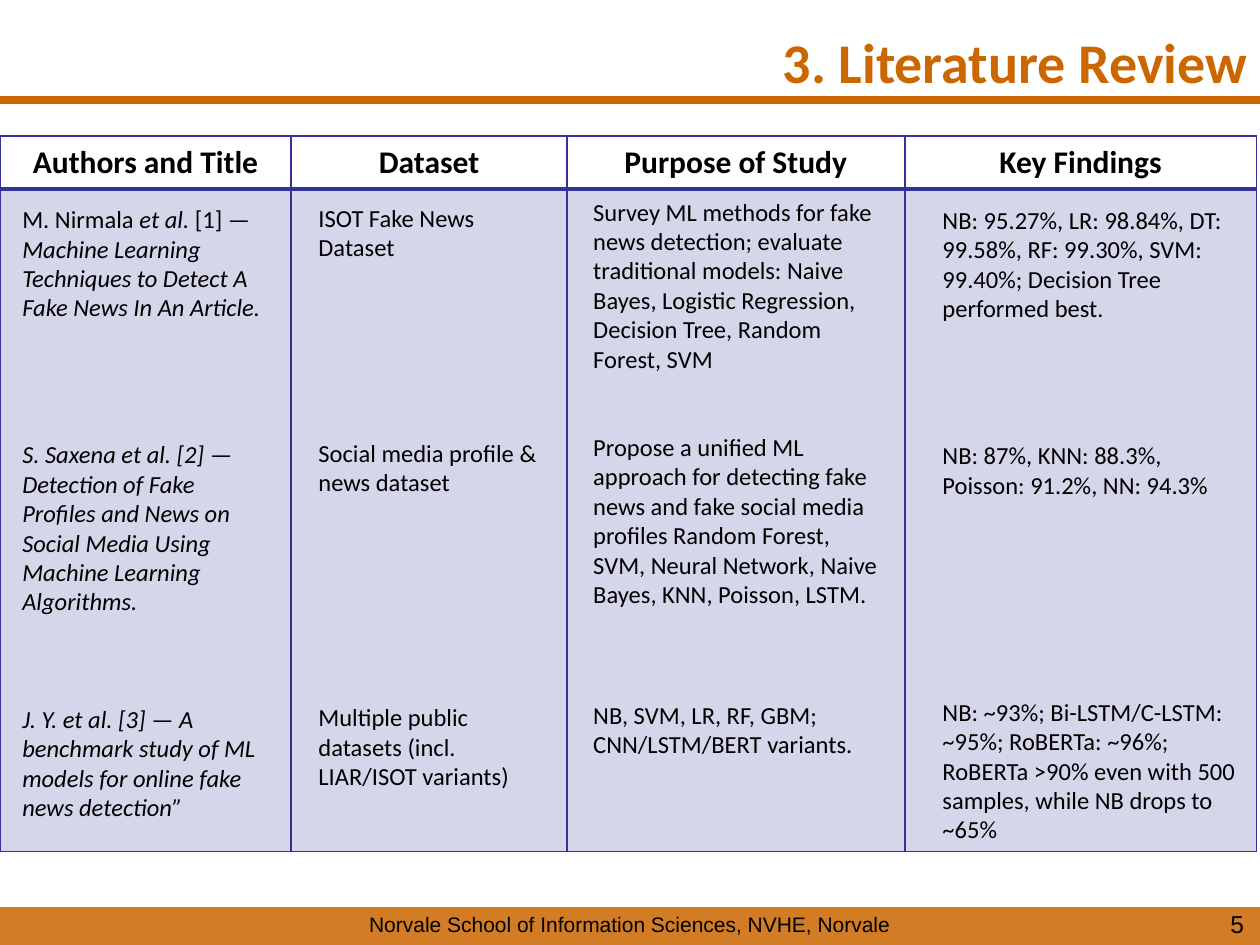
from lxml.etree import SubElement
from pptx import Presentation
from pptx.dml.color import RGBColor
from pptx.enum.shapes import MSO_CONNECTOR as Connector, MSO_SHAPE as Shape
from pptx.enum.text import MSO_ANCHOR as Anchor, PP_ALIGN as Align
from pptx.oxml.ns import qn
from pptx.util import Cm, Pt

THEME = {
    "accent": "CC6600", "grid": "333399", "text": "000000",
    "heading_font": "Calibri", "footer_font": "Arial",
    "title": 32, "header": 18, "body": 14, "footer": 12, "page": 14,
    "bar_alpha": 85, "cell_alpha": 20,
}
TITLE = "3. Literature Review"
FOOTER = "Norvale School of Information Sciences, NVHE, Norvale"
PAGE = "5"

# Widths and positions in cm, gaps above the 2nd and 3rd study in points.
# Asterisks enclose italics.
COLUMNS = [
    {"header": "Authors and Title", "width": 5.87,
     "box": (0.2, 3.99, 5.51, 13.2), "gaps": (0, 67.2, 50.4),
     "studies": [
         "M. Nirmala *et al.* [1] — *Machine Learning Techniques to Detect A "
         "Fake News In An Article.*",
         "*S. Saxena et al. [2] *— *Detection of Fake Profiles and News on "
         "Social Media Using Machine Learning Algorithms.*",
         "*J. Y. et al. [3] *— *A benchmark study of ML models for online "
         "fake news detection”*"]},
    {"header": "Dataset", "width": 5.56,
     "box": (6.17, 3.96, 5.08, 12.22), "gaps": (0, 100.8, 117.6),
     "studies": [
         "ISOT Fake News Dataset",
         "Social media profile & news dataset",
         "Multiple public datasets (incl. LIAR/ISOT variants)"]},
    {"header": "Purpose of Study", "width": 6.81,
     "box": (11.71, 3.84, 6.35, 11.71), "gaps": (0, 33.6, 52.3),
     "studies": [
         "Survey ML methods for fake news detection; evaluate traditional "
         "models: Naive Bayes, Logistic Regression, Decision Tree, Random "
         "Forest, SVM",
         "Propose a unified ML approach for detecting fake news and fake "
         "social media profiles Random Forest, SVM, Neural Network, Naive "
         "Bayes, KNN, Poisson, LSTM.",
         "NB, SVM, LR, RF, GBM; CNN/LSTM/BERT variants."]},
    {"header": "Key Findings", "width": 7.09,
     "box": (18.75, 4.01, 6.55, 13.26), "gaps": (0, 67.2, 112.9),
     "studies": [
         "NB: 95.27%, LR: 98.84%, DT: 99.58%, RF: 99.30%, SVM: 99.40%; "
         "Decision Tree performed best.",
         "NB: 87%, KNN: 88.3%, Poisson: 91.2%, NN: 94.3%",
         "NB: ~93%; Bi-LSTM/C-LSTM: ~95%; RoBERTa: ~96%; RoBERTa >90% even "
         "with 500 samples, while NB drops to ~65%"]},
]
ROW_HEIGHTS = (1.07, 13.36)
TABLE_TOP = 2.74


def rgb(role):
    return RGBColor.from_string(THEME[role])


def fill_with(fill, role, alpha):
    """Solid fill with its opacity in percent."""
    fill.solid()
    fill.fore_color.rgb = rgb(role)
    color = fill._xPr.find(qn("a:solidFill"))[0]
    SubElement(color, qn("a:alpha"), val=str(alpha * 1000))


def style(paragraph, size, font="heading_font", color="text", bold=False,
          align=Align.LEFT):
    paragraph.alignment = align
    paragraph.font.name = THEME[font]
    paragraph.font.size = Pt(THEME[size])
    paragraph.font.color.rgb = rgb(color)
    paragraph.font.bold = bold


def add_text(slide, box, texts, gaps=(0,), anchor=Anchor.TOP, **look):
    """Text box with one paragraph per text; asterisks toggle italics."""
    frame = slide.shapes.add_textbox(*map(Cm, box)).text_frame
    frame.word_wrap = True
    frame.vertical_anchor = anchor
    for index, (text, gap) in enumerate(zip(texts, gaps)):
        paragraph = frame.add_paragraph() if index else frame.paragraphs[0]
        paragraph.space_before = Pt(gap)
        style(paragraph, **look)
        for part, words in enumerate(text.split("*")):
            if words:
                run = paragraph.add_run()
                run.text = words
                if part % 2:
                    run.font.italic = True


def set_borders(cell, bottom=1):
    """Grid lines go before the fill, as the schema demands."""
    properties = cell._tc.get_or_add_tcPr()
    for index, (side, width) in enumerate(
            (("L", 1), ("R", 1), ("T", 1), ("B", bottom))):
        border = SubElement(properties, qn(f"a:ln{side}"), w=str(Pt(width)))
        properties.insert(index, border)
        solid = SubElement(border, qn("a:solidFill"))
        SubElement(solid, qn("a:srgbClr"), val=THEME["grid"])


def add_bars(slide):
    rule = slide.shapes.add_connector(
        Connector.STRAIGHT, 0, Cm(2.01), Cm(25.48), Cm(2.01))
    rule.line.color.rgb = rgb("accent")
    rule.line.width = Pt(4.5)
    SubElement(rule._element.spPr, qn("a:effectLst"))

    bar = slide.shapes.add_shape(
        Shape.RECTANGLE, 0, Cm(18.29), Cm(25.4), Cm(0.76))
    bar.shadow.inherit = False
    fill_with(bar.fill, "accent", THEME["bar_alpha"])
    bar.line.fill.background()


def add_grid(slide):
    total_width = sum(column["width"] for column in COLUMNS)
    grid = slide.shapes.add_table(
        len(ROW_HEIGHTS), len(COLUMNS), 0, Cm(TABLE_TOP),
        Cm(total_width), Cm(sum(ROW_HEIGHTS))).table
    grid.first_row = grid.horz_banding = False
    for row, height in zip(grid.rows, ROW_HEIGHTS):
        row.height = Cm(height)
    for index, column in enumerate(COLUMNS):
        grid.columns[index].width = Cm(column["width"])
        header, body = grid.cell(0, index), grid.cell(1, index)
        header.text = column["header"]
        header.vertical_anchor = Anchor.MIDDLE
        style(header.text_frame.paragraphs[0], "header", bold=True,
              align=Align.CENTER)
        header.fill.background()
        fill_with(body.fill, "grid", THEME["cell_alpha"])
        set_borders(header, bottom=2)
        set_borders(body)


def main():
    deck = Presentation()
    deck.slide_width, deck.slide_height = Cm(25.4), Cm(19.05)
    slide = deck.slides.add_slide(deck.slide_layouts[6])

    add_bars(slide)
    add_text(slide, (0, 18.26, 25.4, 0.76), [FOOTER], size="footer",
             font="footer_font", align=Align.CENTER)
    add_grid(slide)
    add_text(slide, (19.41, 18.21, 5.92, 0.84), [PAGE], size="page",
             font="footer_font", align=Align.RIGHT, anchor=Anchor.MIDDLE)
    add_text(slide, (1.27, 0.43, 24.13, 1.07), [TITLE], size="title",
             color="accent", bold=True, align=Align.RIGHT)
    for column in COLUMNS:
        add_text(slide, column["box"], column["studies"], column["gaps"],
                 size="body")
    deck.save("out.pptx")


if __name__ == "__main__":
    main()
